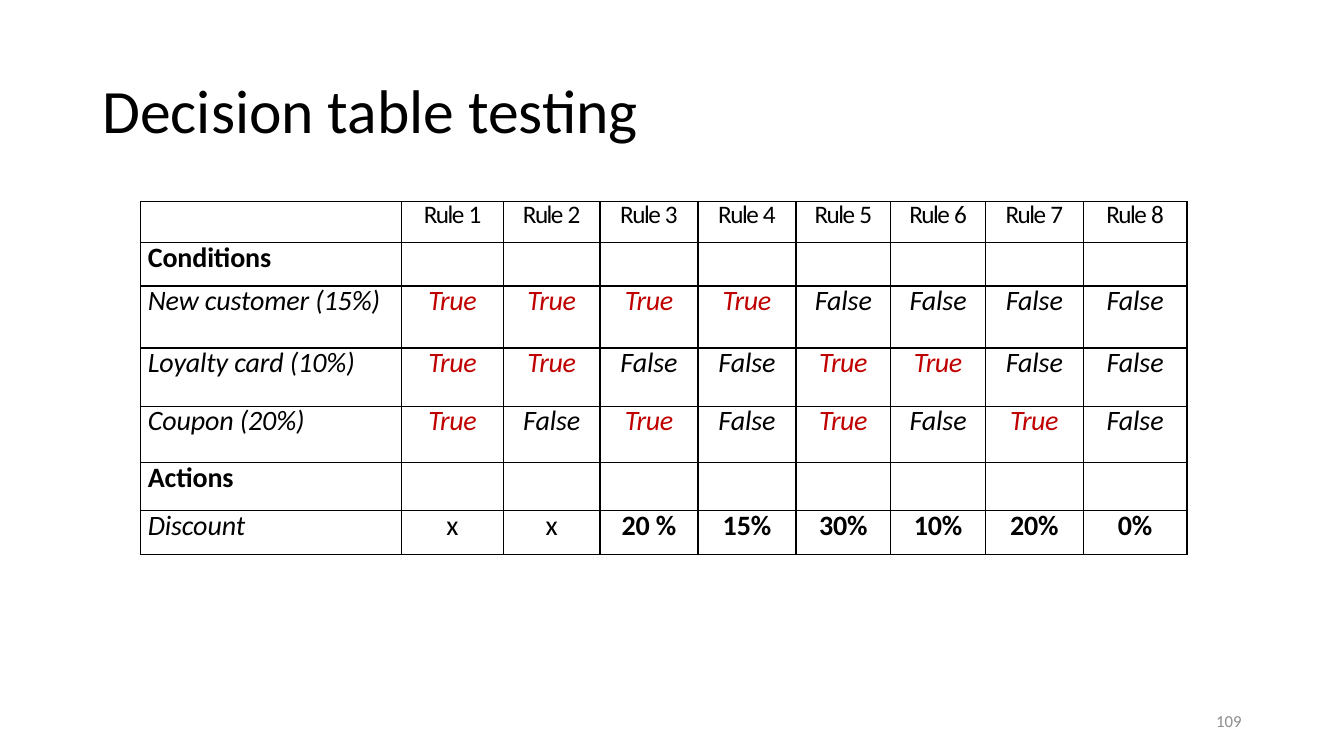
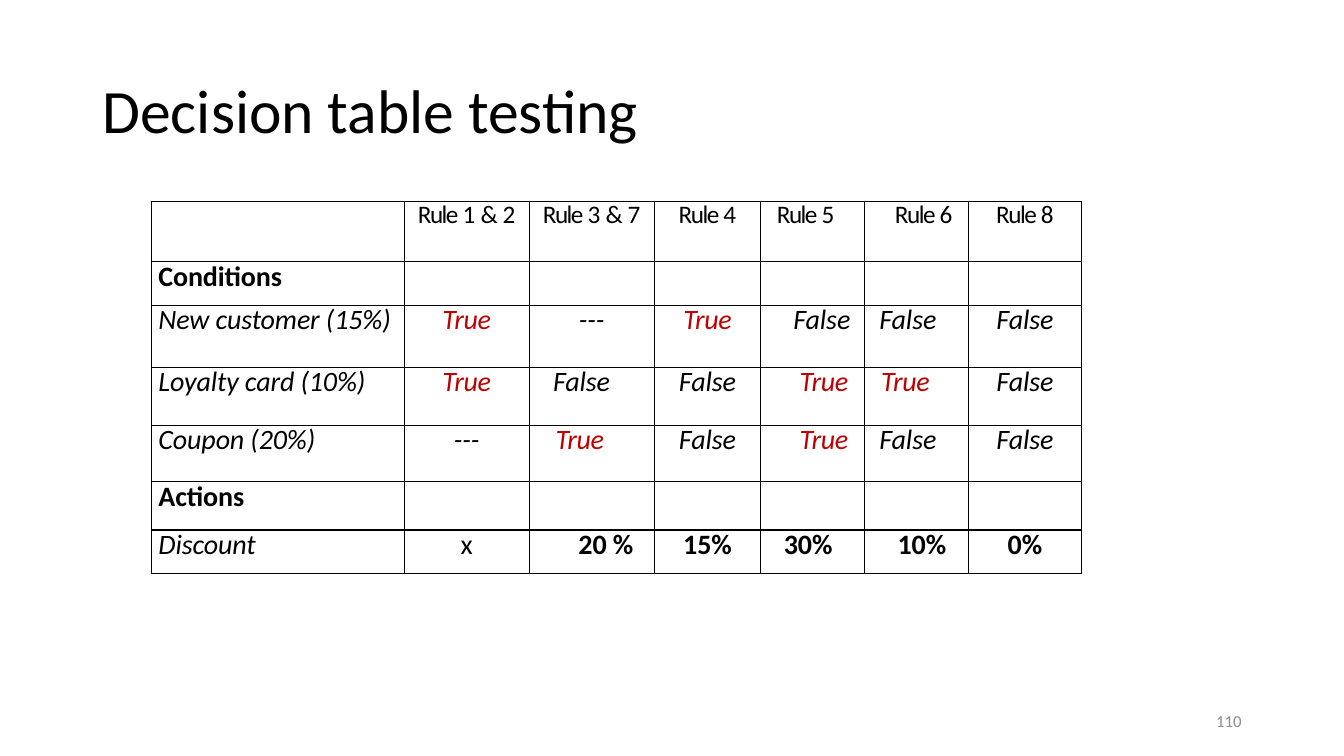
import pptx
import pptx.util
import pptx.dml.color
import pptx.enum.text
import pptx.oxml
import pptx.oxml.ns

Pt = pptx.util.Pt
ALIGN = pptx.enum.text.PP_ALIGN
MIDDLE = pptx.enum.text.MSO_ANCHOR.MIDDLE

COLORS = {"text": "000000", "true": "C00000", "number": "8C8C8C"}

# Letter spacing in points, by word; other words of a heading use the last entry
HEAD_SPACING = {"Rule": -1.1, "&": -0.7, "": -0.3}

LABELS = ["", "Conditions", "New customer (15%)", "Loyalty card (10%)",
          "Coupon (20%)", "Actions", "Discount"]
SECTIONS = ("Conditions", "Actions")
BODY_HEIGHTS = [31, 44.3, 41.6, 40, 34.8, 31.2]
LABEL_INDENT = 5.2


class Deck:
    """Holds the shared style and the slide being built."""

    def __init__(self, prs):
        self.prs = prs
        self.slide = None

    def new_slide(self, title, number):
        self.slide = self.prs.slides.add_slide(self.prs.slide_layouts[5])
        self.title(title)
        self.number(number)

    def run(self, p, text, spacing=0, color="text", **fmt):
        r = p.add_run()
        r.text = text
        for name, value in {"name": "Calibri", **fmt}.items():
            setattr(r.font, name, value)
        r.font.color.rgb = pptx.dml.color.RGBColor.from_string(COLORS[color])
        if spacing:
            r._r.get_or_add_rPr().set("spc", str(round(spacing * 100)))

    def title(self, text):
        sp = self.slide.shapes.title
        place = {"left": 66, "top": 28.8, "width": 828, "height": 104.4}
        for name, value in place.items():
            setattr(sp, name, Pt(value))
        tf = sp.text_frame
        tf.vertical_anchor = MIDDLE
        p = tf.paragraphs[0]
        p.alignment = ALIGN.LEFT
        p.line_spacing = 0.9
        self.run(p, text, size=Pt(44))

    def number(self, value):
        sp = self.slide.shapes.add_textbox(Pt(678), Pt(500.4), Pt(216), Pt(28.8))
        tf = sp.text_frame
        tf.word_wrap = True
        tf.vertical_anchor = MIDDLE
        p = tf.paragraphs[0]
        p.alignment = ALIGN.RIGHT
        self.run(p, str(value), color="number", size=Pt(12))

    def borders(self, cell):
        tc_pr = cell._tc.get_or_add_tcPr()
        for i, side in enumerate(("lnL", "lnR", "lnT", "lnB")):
            ln = pptx.oxml.parse_xml(
                f'<a:{side} {pptx.oxml.ns.nsdecls("a")} w="{Pt(1)}"><a:solidFill>'
                f'<a:srgbClr val="{COLORS["text"]}"/></a:solidFill></a:{side}>')
            tc_pr.insert(i, ln)

    def cell(self, cell, text, row, col, place):
        align, left, right = place
        margins = {"margin_left": left, "margin_right": right,
                   "margin_top": 0, "margin_bottom": 0}
        for name, value in margins.items():
            setattr(cell, name, Pt(value))
        cell.fill.background()
        self.borders(cell)
        if not text:
            return
        p = cell.text_frame.paragraphs[0]
        p.alignment = align
        if row == 0:
            p.line_spacing = Pt(20.4)
            words = text.split()
            for i, word in enumerate(words, 1):
                self.run(p, word + " " * (i < len(words)),
                         HEAD_SPACING.get(word, HEAD_SPACING[""]), size=Pt(18))
            return
        section = text in SECTIONS
        is_true = text == "True"
        discount = row == len(LABELS) - 1 and col > 0
        p.line_spacing = Pt(23.4 if section else 22.8)
        self.run(p, text, -0.3 if is_true else -0.1, "true" if is_true else "text",
                 size=Pt(20), italic=not (section or discount),
                 bold=section or (discount and text != "x"))

    def table(self, left, widths, head_height, rows, places=None):
        """rows: values for headings, three conditions and discount."""
        places = places or {}
        heights = [head_height, *BODY_HEIGHTS]
        tb = self.slide.shapes.add_table(
            len(heights), len(widths), Pt(left), Pt(144),
            Pt(sum(widths)), Pt(sum(heights))).table
        tb.first_row = tb.horz_banding = False
        for i, width in enumerate(widths):
            tb.columns[i].width = Pt(width)
        values = iter(rows)
        for i, (label, height) in enumerate(zip(LABELS, heights)):
            tb.rows[i].height = Pt(height)
            blank = [""] * (len(widths) - 1)
            texts = [label] + (blank if label in SECTIONS else next(values))
            for j, text in enumerate(texts):
                usual = (ALIGN.CENTER, 0, 0) if j else (ALIGN.LEFT, LABEL_INDENT, 0)
                self.cell(tb.cell(i, j), text, i, j, places.get((i, j), usual))


def truths(marks):
    """Spell out a row of T, F and - marks."""
    names = {"T": "True", "F": "False", "-": "---"}
    return [names[mark] for mark in marks]


def main():
    prs = pptx.Presentation()
    prs.slide_width, prs.slide_height = Pt(960), Pt(540)
    deck = Deck(prs)

    # All eight rules
    deck.new_slide("Decision table testing", 109)
    deck.table(
        100.4, [186.5, 72.7, 69, 70, 70, 67.7, 67.7, 69.8, 74.2], 29.3,
        [[f"Rule {n}" for n in range(1, 9)],
         truths("TTTTFFFF"), truths("TTFFTTFF"), truths("TFTFTFTF"),
         ["x", "x", "20 %", "15%", "30%", "10%", "20%", "0%"]])

    # Merged rules, with cells set off from the usual centring
    deck.new_slide("Decision table testing", 110)
    deck.table(
        108, [180.7, 89.3, 89.3, 76.2, 74.2, 74.2, 80.6], 43,
        [["Rule 1 & 2", "Rule 3 & 7", "Rule 4", "Rule 5", "Rule 6", "Rule 8"],
         truths("T-TFFF"), truths("TFFTTF"), truths("-TFTFF"),
         ["x", "20 %", "15%", "30%", "10%", "0%"]],
        {(0, 4): (ALIGN.LEFT, 11.5, 0), (0, 5): (ALIGN.RIGHT, 0, 11.5),
         (2, 4): (ALIGN.CENTER, 13, 0), (2, 5): (ALIGN.CENTER, 0, 12.5),
         (3, 2): (ALIGN.CENTER, 0, 14.5), (3, 4): (ALIGN.CENTER, 16, 0),
         (3, 5): (ALIGN.CENTER, 0, 16), (4, 2): (ALIGN.CENTER, 0, 17),
         (4, 4): (ALIGN.CENTER, 16, 0), (4, 5): (ALIGN.CENTER, 0, 12.5),
         (6, 2): (ALIGN.RIGHT, 0, 15), (6, 4): (ALIGN.LEFT, 16.5, 0),
         (6, 5): (ALIGN.RIGHT, 0, 16)})

    prs.save("out.pptx")


if __name__ == "__main__":
    main()
